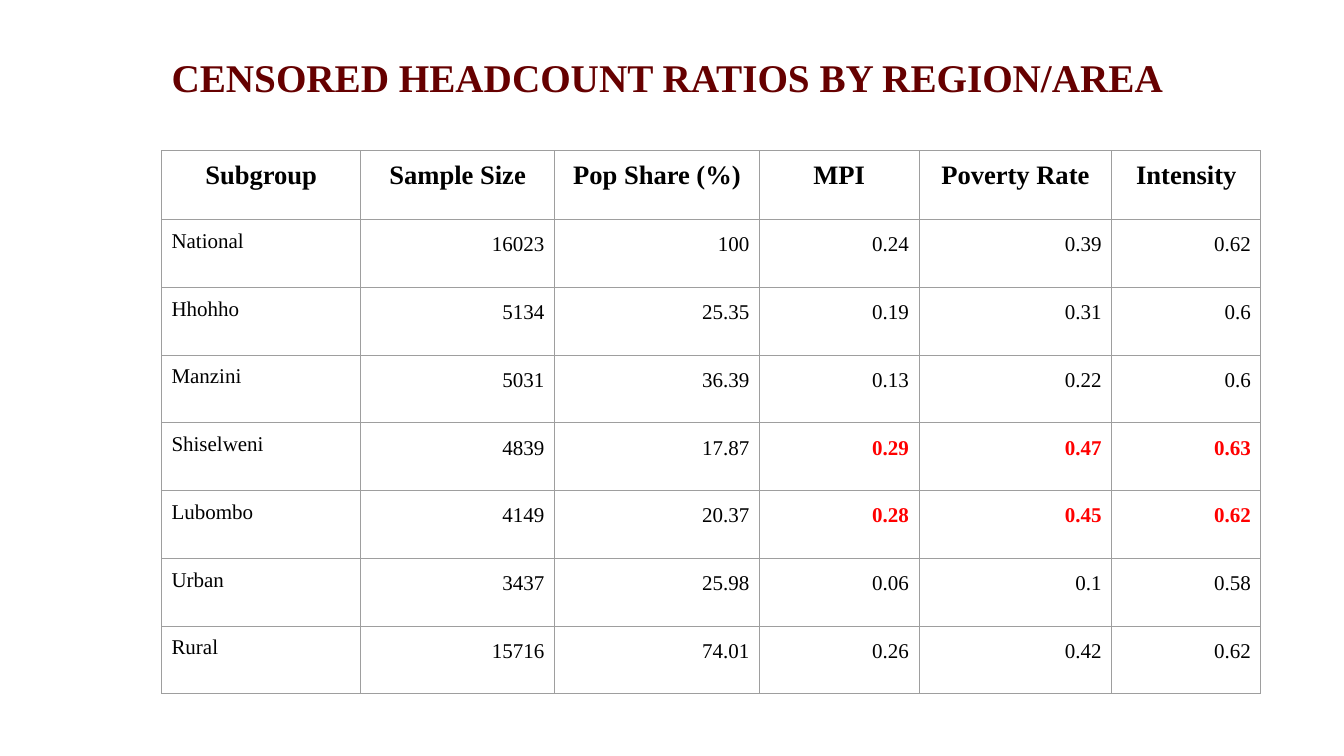
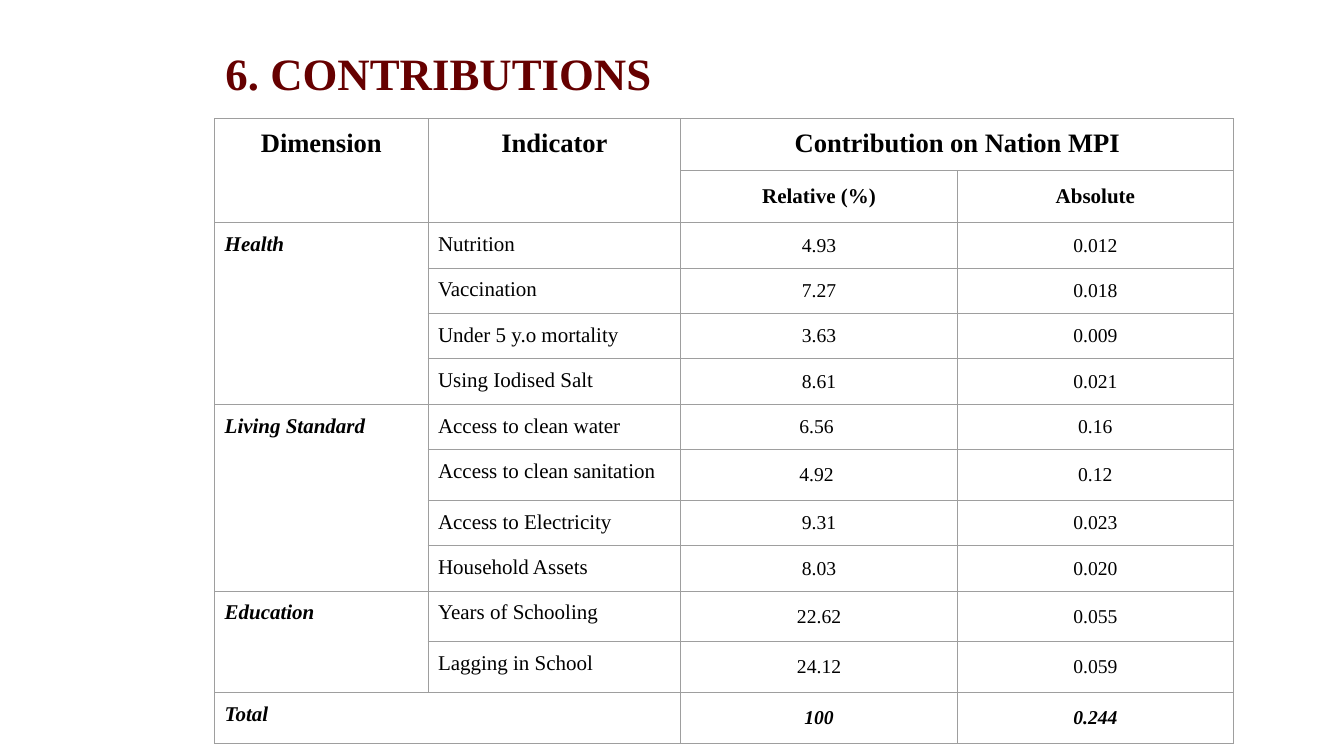
from dataclasses import dataclass

from lxml.etree import SubElement
from pptx import Presentation
from pptx.dml.color import RGBColor
from pptx.enum.text import MSO_ANCHOR, MSO_AUTO_SIZE, PP_ALIGN
from pptx.oxml.ns import qn
from pptx.util import Pt


@dataclass(frozen=True)
class Theme:
    """Colours, font and sizes shared by the slides."""
    font: str = "Times New Roman"
    title_color: str = "660000"
    text_color: str = "000000"
    highlight_color: str = "FF0000"
    border_color: str = "9E9E9E"
    border_width: float = 0.75
    header_size: float = 19
    body_size: float = 15
    value_size: float = 14
    cell_margin: float = 7.2


THEME = Theme()

REGION_COLUMNS = [142.4, 138.4, 146.4, 114, 137.7, 106.5]
REGION_HEADERS = ["Subgroup", "Sample Size", "Pop Share (%)", "MPI", "Poverty Rate", "Intensity"]
REGION_ROWS = [
    ["National", "16023", "100", "0.24", "0.39", "0.62"],
    ["Hhohho", "5134", "25.35", "0.19", "0.31", "0.6"],
    ["Manzini", "5031", "36.39", "0.13", "0.22", "0.6"],
    ["Shiselweni", "4839", "17.87", "0.29", "0.47", "0.63"],
    ["Lubombo", "4149", "20.37", "0.28", "0.45", "0.62"],
    ["Urban", "3437", "25.98", "0.06", "0.1", "0.58"],
    ["Rural", "15716", "74.01", "0.26", "0.42", "0.62"],
]
POOREST_REGIONS = {"Shiselweni", "Lubombo"}
FIRST_POVERTY_COLUMN = 3

CONTRIBUTION_COLUMNS = [152.4, 180.7, 197.4, 197.4]
CONTRIBUTION_HEADERS = ["Dimension", "Indicator", "Contribution on Nation MPI"]
MEASURES = ["Relative (%)", "Absolute"]
HEADER_HEIGHT, ROW_HEIGHT, TALL_ROW_HEIGHT = 37.1, 32.4, 36.2
TALL_INDICATORS = {"Access to clean sanitation", "Years of Schooling", "Lagging in School"}
DIMENSIONS = {
    "Health": [
        ("Nutrition", "4.93", "0.012"),
        ("Vaccination", "7.27", "0.018"),
        ("Under 5 y.o mortality", "3.63", "0.009"),
        ("Using Iodised Salt", "8.61", "0.021"),
    ],
    "Living Standard": [
        ("Access to clean water", "6.56 ", "0.16"),
        ("Access to clean sanitation", "4.92 ", "0.12"),
        ("Access to Electricity", "9.31", "0.023"),
        ("Household Assets", "8.03", "0.020"),
    ],
    "Education": [
        ("Years of Schooling", "22.62", "0.055"),
        ("Lagging in School", "24.12", "0.059"),
    ],
}
TOTALS = ["100", "0.244"]


def write_text(text_frame, text, size, color=THEME.text_color, bold=False, italic=False,
               align=PP_ALIGN.LEFT, spacing=None):
    """Write one formatted paragraph into a text frame."""
    text_frame.text = text
    paragraph = text_frame.paragraphs[0]
    paragraph.alignment = align
    paragraph.line_spacing = spacing
    font = paragraph.runs[0].font
    font.name, font.size, font.bold, font.italic = THEME.font, Pt(size), bold, italic
    font.color.rgb = RGBColor.from_string(color)


def add_title(slide, text, size, left, top, width, height):
    """Add the slide title in its box."""
    box = slide.shapes.add_textbox(Pt(left), Pt(top), Pt(width), Pt(height))
    box.text_frame.word_wrap = True
    box.text_frame.auto_size = MSO_AUTO_SIZE.SHAPE_TO_FIT_TEXT
    write_text(box.text_frame, text, size, THEME.title_color, bold=True)


def style_cell(cell):
    """Give a cell its margins, thin borders and an empty fill."""
    cell.margin_left = cell.margin_right = Pt(THEME.cell_margin)
    cell.margin_top = cell.margin_bottom = Pt(THEME.cell_margin)
    properties = cell._tc.get_or_add_tcPr()
    for side in ("a:lnL", "a:lnR", "a:lnT", "a:lnB"):
        line = SubElement(properties, qn(side), w=str(Pt(THEME.border_width)))
        fill = SubElement(line, qn("a:solidFill"))
        SubElement(fill, qn("a:srgbClr"), val=THEME.border_color)
    cell.fill.background()


def add_grid(slide, left, top, column_widths, row_heights):
    """Add an empty bordered table with the given columns and rows."""
    frame = slide.shapes.add_table(len(row_heights), len(column_widths), Pt(left), Pt(top),
                                   Pt(sum(column_widths)), Pt(sum(row_heights)))
    table = frame.table
    table.first_row = table.horz_banding = False
    for column, width in zip(table.columns, column_widths):
        column.width = Pt(width)
    for row, height in zip(table.rows, row_heights):
        row.height = Pt(height)
    for cell in table.iter_cells():
        style_cell(cell)
    return table


def write_headers(table, headers):
    """Write the headings into the first row."""
    for column, header in enumerate(headers):
        write_text(table.cell(0, column).text_frame, header, THEME.header_size,
                   bold=True, align=PP_ALIGN.CENTER)


def write_measures(table, row, values, size=THEME.value_size, **style):
    """Write the relative and absolute values of one row, centred."""
    for column, value in enumerate(values, start=2):
        cell = table.cell(row, column)
        cell.vertical_anchor = MSO_ANCHOR.MIDDLE
        write_text(cell.text_frame, value, size, align=PP_ALIGN.CENTER, **style)


def add_region_table(slide, left, top):
    """Add the table of poverty measures by region and area."""
    table = add_grid(slide, left, top, REGION_COLUMNS, [49.2] + [48.4] * len(REGION_ROWS))
    write_headers(table, REGION_HEADERS)
    for row, (name, *values) in enumerate(REGION_ROWS, start=1):
        write_text(table.cell(row, 0).text_frame, name, THEME.body_size)
        for column, value in enumerate(values, start=1):
            marked = name in POOREST_REGIONS and column >= FIRST_POVERTY_COLUMN
            color = THEME.highlight_color if marked else THEME.text_color
            write_text(table.cell(row, column).text_frame, value, THEME.body_size, color,
                       bold=marked, align=PP_ALIGN.RIGHT, spacing=1.15)


def add_contribution_table(slide, left, top):
    """Add the table of contributions grouped by dimension."""
    indicators = [name for group in DIMENSIONS.values() for name, *_ in group]
    heights = [TALL_ROW_HEIGHT if name in TALL_INDICATORS else ROW_HEIGHT for name in indicators]
    table = add_grid(slide, left, top, CONTRIBUTION_COLUMNS,
                     [HEADER_HEIGHT] * 2 + heights + [TALL_ROW_HEIGHT])
    for column in (0, 1):
        table.cell(0, column).merge(table.cell(1, column))
    table.cell(0, 2).merge(table.cell(0, 3))
    write_headers(table, CONTRIBUTION_HEADERS)
    write_measures(table, 1, MEASURES, THEME.body_size, bold=True)
    row = 2
    for dimension, group in DIMENSIONS.items():
        table.cell(row, 0).merge(table.cell(row + len(group) - 1, 0))
        write_text(table.cell(row, 0).text_frame, dimension, THEME.body_size,
                   bold=True, italic=True)
        for indicator, *values in group:
            write_text(table.cell(row, 1).text_frame, indicator, THEME.body_size)
            write_measures(table, row, values)
            row += 1
    table.cell(row, 0).merge(table.cell(row, 1))
    write_text(table.cell(row, 0).text_frame, "Total", THEME.body_size, bold=True, italic=True)
    write_measures(table, row, TOTALS, bold=True, italic=True)


def main():
    """Build both slides and save the presentation."""
    presentation = Presentation()
    presentation.slide_width, presentation.slide_height = Pt(960), Pt(540)
    blank = presentation.slide_layouts[6]

    region_slide = presentation.slides.add_slide(blank)
    add_title(region_slide, "CENSORED HEADCOUNT RATIOS BY REGION/AREA", 28, 115.5, 34.5, 764, 41)
    add_region_table(region_slide, 115.3, 107.7)

    contribution_slide = presentation.slides.add_slide(blank)
    add_title(contribution_slide, "6. CONTRIBUTIONS", 32, 154, 29, 728, 46)
    add_contribution_table(contribution_slide, 153.3, 84.6)

    presentation.save("out.pptx")


if __name__ == "__main__":
    main()
